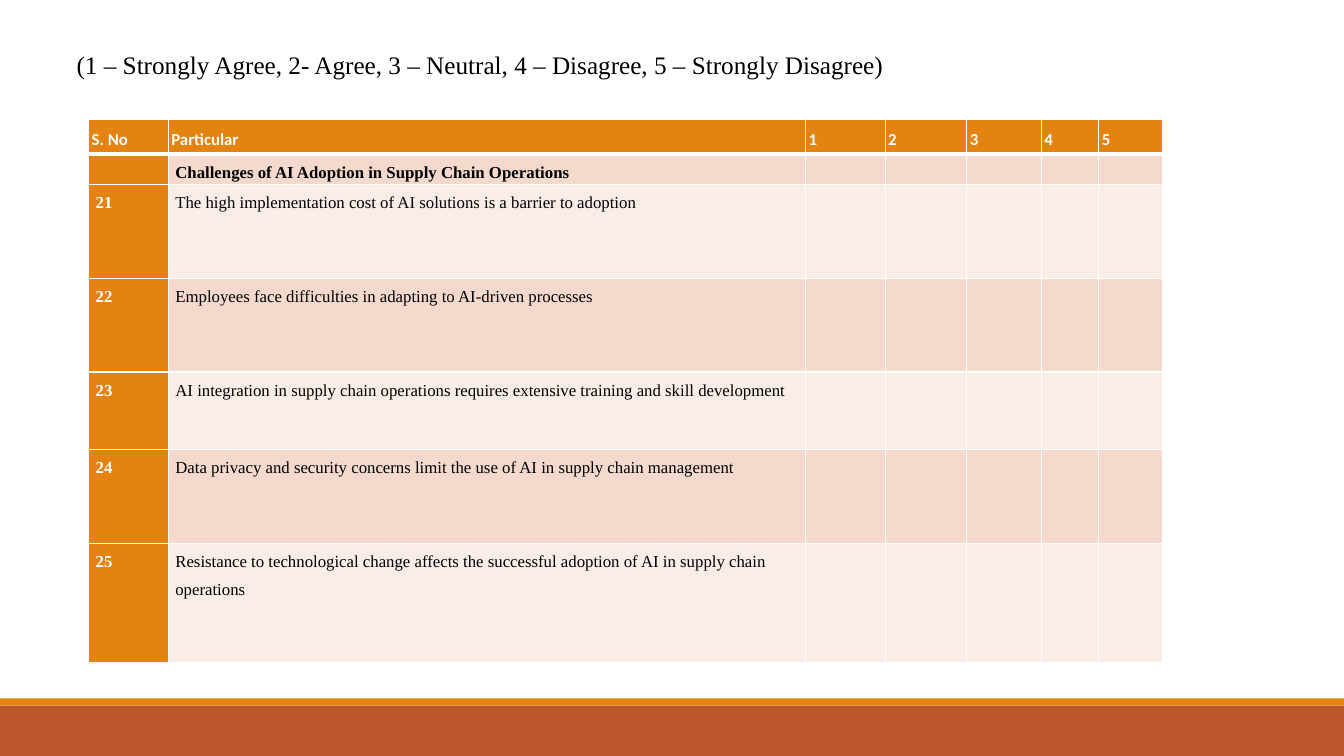
from dataclasses import dataclass

from lxml import etree
from pptx import Presentation
from pptx.dml.color import RGBColor
from pptx.enum.shapes import MSO_SHAPE
from pptx.enum.text import MSO_ANCHOR, MSO_AUTO_SIZE, PP_ALIGN
from pptx.oxml.ns import qn
from pptx.util import Inches, Pt


@dataclass(frozen=True)
class Theme:
    orange: str = "E48312"
    rust: str = "BD582C"
    band_dark: str = "F5D9CC"
    band_light: str = "FAEDE7"
    white: str = "FFFFFF"
    black: str = "000000"
    serif: str = "Times New Roman"
    sans: str = "Calibri"
    title_size: int = 18
    table_size: int = 12


THEME = Theme()

SCALE = "(1 – Strongly Agree, 2- Agree, 3 – Neutral, 4 – Disagree, 5 – Strongly Disagree)"
HEADINGS = ["S. No", "Particular", "1", "2", "3", "4", "5"]
SECTION = "Challenges of AI Adoption in Supply Chain Operations"
FIRST_NUMBER = 21
STATEMENTS = [
    "The high implementation cost of AI solutions is a barrier to adoption",
    "Employees face difficulties in adapting to AI-driven processes",
    "AI integration in supply chain operations requires extensive training and skill development",
    "Data privacy and security concerns limit the use of AI in supply chain management",
    "Resistance to technological change affects the successful adoption of AI in supply chain operations",
]
COLUMN_WIDTHS = [0.79, 6.32, 0.79, 0.81, 0.74, 0.57, 0.63]
ROW_HEIGHTS = [0.35, 0.3, 0.93, 0.93, 0.77, 0.93, 1.18]


def write(frame, text, size, font, color, bold=False):
    para = frame.paragraphs[0]
    para.alignment = PP_ALIGN.LEFT
    para.line_spacing = 1.5
    para.space_before = Pt(0)
    para.space_after = Pt(8)
    span = para.add_run()
    span.text = text
    span.font.size = Pt(size)
    span.font.name = font
    span.font.bold = bold
    span.font.color.rgb = RGBColor.from_string(color)


def add_title(page, left, top, width, height):
    title = page.shapes.title
    title.left, title.top = Inches(left), Inches(top)
    title.width, title.height = Inches(width), Inches(height)
    frame = title.text_frame
    frame.word_wrap = True
    frame.auto_size = MSO_AUTO_SIZE.SHAPE_TO_FIT_TEXT
    frame.vertical_anchor = MSO_ANCHOR.TOP
    write(frame, SCALE, THEME.title_size, THEME.serif, THEME.black)


def add_footer_bands(page, left, top, width, height):
    stripe = 0.07
    bands = [(top + stripe, height - stripe, THEME.rust), (top, stripe, THEME.orange)]
    for band_top, band_height, color in bands:
        band = page.shapes.add_shape(
            MSO_SHAPE.RECTANGLE, Inches(left), Inches(band_top), Inches(width), Inches(band_height)
        )
        band.shadow.inherit = False
        band.fill.solid()
        band.fill.fore_color.rgb = RGBColor.from_string(color)
        band.line.fill.background()


def set_borders(cell, top, bottom):
    properties = cell._tc.get_or_add_tcPr()
    for side, points in (("lnL", 1), ("lnR", 1), ("lnT", top), ("lnB", bottom)):
        line = etree.SubElement(properties, qn(f"a:{side}"), w=str(Pt(points)))
        fill = etree.SubElement(line, qn("a:solidFill"))
        etree.SubElement(fill, qn("a:srgbClr"), val=THEME.white)


def style_cell(cell, row, column, text):
    is_header, is_number = row == 0, column == 0
    # Borders, with a heavy rule under the header
    set_borders(cell, top=3 if row == 1 else 1, bottom=3 if is_header else 1)
    # Fill: orange header row and number column, banded elsewhere
    band = THEME.band_dark if row % 2 else THEME.band_light
    cell.fill.solid()
    cell.fill.fore_color.rgb = RGBColor.from_string(THEME.orange if is_header or is_number else band)
    # Text
    cell.margin_left = cell.margin_right = Inches(0.03 if is_header else 0.07)
    cell.margin_top = cell.margin_bottom = 0
    write(
        cell.text_frame,
        text,
        THEME.table_size,
        THEME.sans if is_header else THEME.serif,
        THEME.white if is_header or is_number else THEME.black,
        bold=row <= 1 or is_number,
    )


def add_survey_table(page, left, top, width, height):
    blanks = [""] * (len(HEADINGS) - 2)
    rows = [HEADINGS, ["", SECTION, *blanks]]
    rows += [[str(number), text, *blanks] for number, text in enumerate(STATEMENTS, FIRST_NUMBER)]
    table = page.shapes.add_table(
        len(rows), len(HEADINGS), Inches(left), Inches(top), Inches(width), Inches(height)
    ).table
    for column, column_width in zip(table.columns, COLUMN_WIDTHS):
        column.width = Inches(column_width)
    for row, row_height in zip(table.rows, ROW_HEIGHTS):
        row.height = Inches(row_height)
    for r, texts in enumerate(rows):
        for c, text in enumerate(texts):
            style_cell(table.cell(r, c), r, c, text)


def main():
    deck = Presentation()
    deck.slide_width, deck.slide_height = Inches(13.33), Inches(7.5)
    page = deck.slides.add_slide(deck.slide_layouts.get_by_name("Title Only"))
    add_footer_bands(page, 0, 6.93, 13.33, 0.57)
    add_title(page, 0.66, 0.29, 9.74, 0.51)
    add_survey_table(page, 0.88, 1.18, sum(COLUMN_WIDTHS), sum(ROW_HEIGHTS))
    deck.save("out.pptx")


if __name__ == "__main__":
    main()
